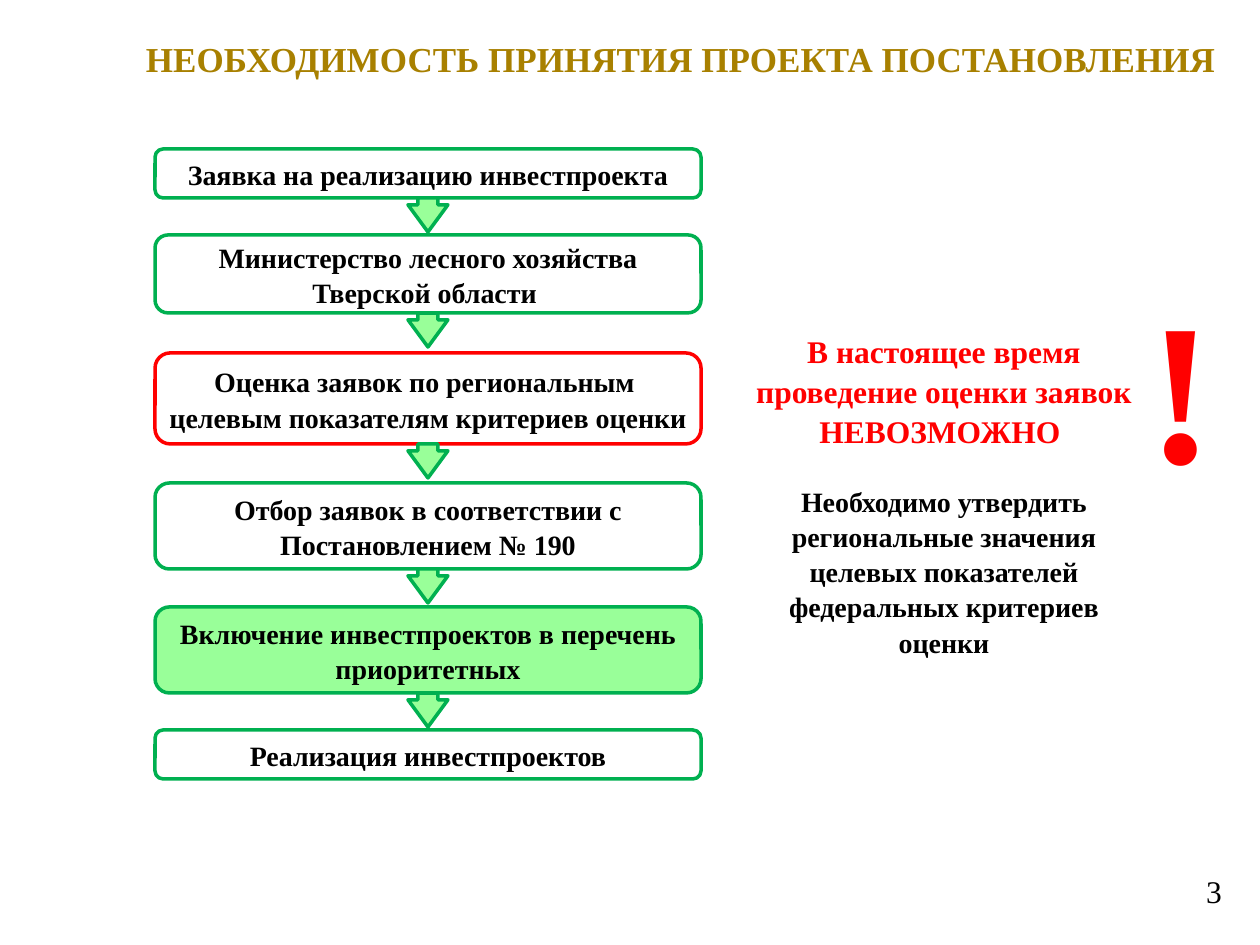
import pptx
import pptx.util
import pptx.dml.color
import pptx.enum.shapes
import pptx.enum.text

SCALE = 914400 / 126  # EMU per px
FONT = "Times New Roman"
GREEN, LIGHT_GREEN, RED = "00B050", "99FF99", "FF0000"
BLACK, WHITE, GOLD = "000000", "FFFFFF", "A88000"
SHAPES = pptx.enum.shapes.MSO_SHAPE
ALIGN = pptx.enum.text.PP_ALIGN
ANCHOR = pptx.enum.text.MSO_ANCHOR

presentation = pptx.Presentation()
presentation.slide_width = round(1260 * SCALE)
presentation.slide_height = round(945 * SCALE)
slide = presentation.slides.add_slide(presentation.slide_layouts[5])


def add_shape(kind, box, fill=None, line=None):
    shape = slide.shapes.add_shape(kind, *[round(value * SCALE) for value in box])
    shape.shadow.inherit = False
    for target, color in ((shape.fill, fill), (shape.line.fill, line)):
        if color:
            target.solid()
            target.fore_color.rgb = pptx.dml.color.RGBColor.from_string(color)
        else:
            target.background()
    if line:
        shape.line.width = pptx.util.Pt(2)
    return shape


def write(shape, paragraphs, align=ALIGN.CENTER, anchor=ANCHOR.MIDDLE,
          margins=(13, 6), bold=True):
    """Fill a shape with (text, size, color, space before) paragraphs."""
    frame = shape.text_frame
    frame.word_wrap = True
    frame.auto_size = pptx.enum.text.MSO_AUTO_SIZE.NONE
    frame.vertical_anchor = anchor
    frame.margin_left = frame.margin_right = round(margins[0] * SCALE)
    frame.margin_top = frame.margin_bottom = round(margins[1] * SCALE)
    for index, (text, size, color, before) in enumerate(paragraphs):
        paragraph = frame.add_paragraph() if index else frame.paragraphs[0]
        paragraph.alignment = align
        paragraph.line_spacing = 1.05
        paragraph.space_before = pptx.util.Pt(before)
        run = paragraph.add_run()
        run.text = text
        run.font.name = FONT
        run.font.size = pptx.util.Pt(size)
        run.font.bold = bold
        run.font.color.rgb = pptx.dml.color.RGBColor.from_string(color)


# Title
title = slide.shapes.title
title.left, title.top, title.width, title.height = [
    round(value * SCALE) for value in (135, 29, 1100, 158)]
write(title, [("НЕОБХОДИМОСТЬ ПРИНЯТИЯ ПРОЕКТА ПОСТАНОВЛЕНИЯ ", 20, GOLD, 0)],
      anchor=ANCHOR.TOP, margins=(3, 6))

# Process steps: top, height, fill, line, paragraphs
steps = [
    (149, 49, None, GREEN, ["Заявка на реализацию инвестпроекта"]),
    (235, 78, WHITE, GREEN, ["Министерство лесного хозяйства Тверской области "]),
    (353, 91, None, RED, ["Оценка заявок по региональным ",
                          "целевым показателям критериев оценки"]),
    (483, 86, WHITE, GREEN, ["Отбор заявок в соответствии с Постановлением № 190"]),
    (607, 86, LIGHT_GREEN, GREEN, ["Включение инвестпроектов в перечень приоритетных"]),
    (730, 49, None, GREEN, ["Реализация инвестпроектов"]),
]
for top, height, fill, line, texts in steps:
    step = add_shape(SHAPES.ROUNDED_RECTANGLE, (155, top, 546, height), fill, line)
    write(step, [(text, 16, BLACK, 0) for text in texts], margins=(5, 5))

# Arrows hang from the bottom of every step but the last
for top, height, *_ in steps[:-1]:
    arrow = add_shape(SHAPES.DOWN_ARROW, (408, top + height, 40, 34), LIGHT_GREEN, GREEN)
    arrow.adjustments[0] = 0.5
    arrow.adjustments[1] = 0.8

# Conclusion with exclamation mark
conclusion = add_shape(SHAPES.ROUNDED_RECTANGLE, (726, 266, 436, 457))
write(conclusion, [
    ("В настоящее время проведение оценки заявок НЕВОЗМОЖНО ", 18, RED, 0),
    ("Необходимо утвердить региональные значения целевых показателей "
     "федеральных критериев оценки", 16, BLACK, 19),
], margins=(0, 0))
exclamation = add_shape(SHAPES.ROUNDED_RECTANGLE, (1130, 253, 84, 247))
write(exclamation, [("!", 115, RED, 0)])

# Slide number
number = slide.shapes.add_textbox(
    *[round(value * SCALE) for value in (941, 864, 294, 66)])
write(number, [("3", 18, BLACK, 0)], align=ALIGN.RIGHT, anchor=ANCHOR.TOP, bold=False)

presentation.save("out.pptx")
